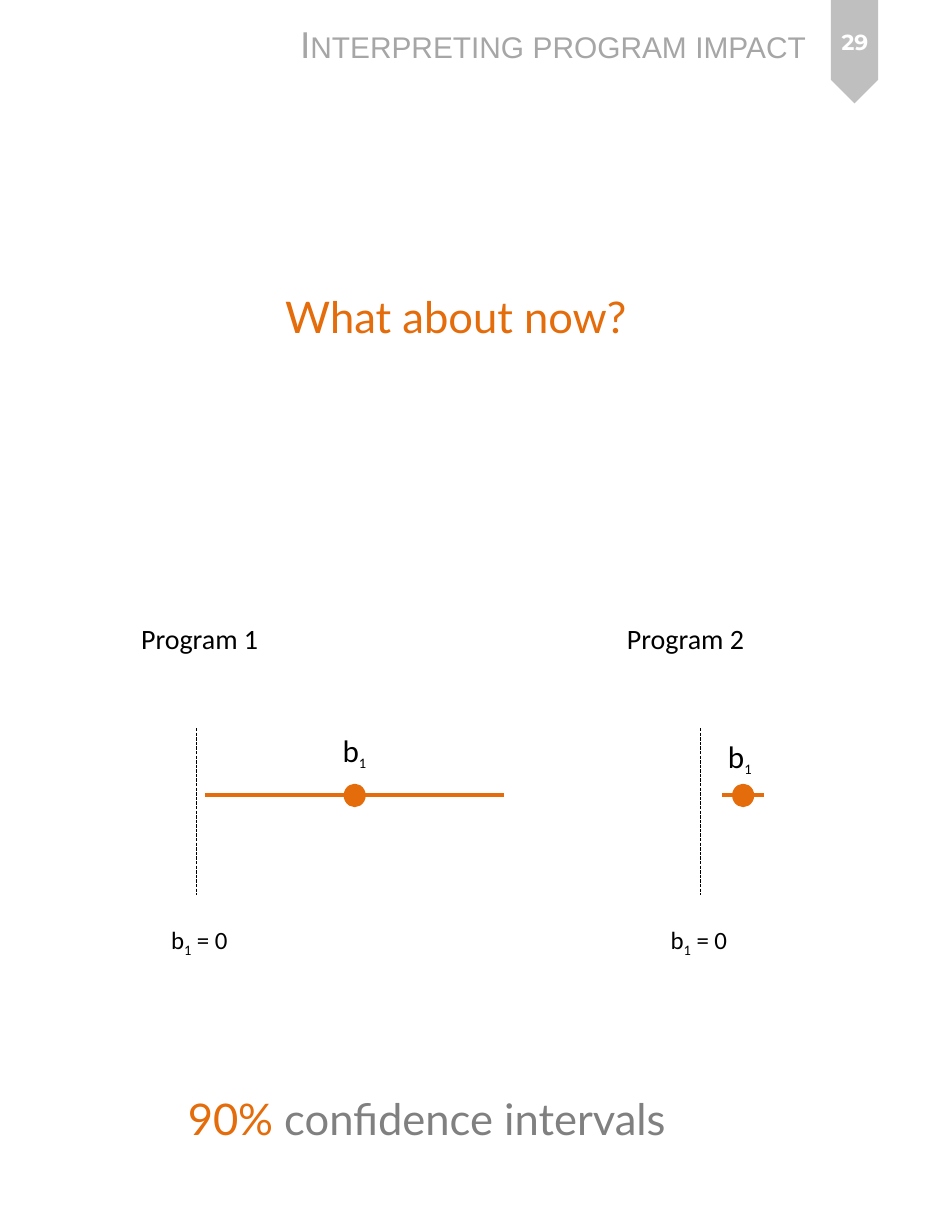
from lxml import etree
from pptx import Presentation
from pptx import util as u
from pptx.dml.color import RGBColor
from pptx.enum import dml, shapes, text
from pptx.oxml.ns import qn

COLORS = {
    "accent": "E46C0A",
    "ink": "000000",
    "header": "A6A6A6",
    "muted": "808080",
    "tab": "BFBFBF",
    "white": "FFFFFF",
}
STYLES = {
    "header": ("header", {"name": "Arial", "size": u.Pt(24)}),
    "number": ("white", {"name": "Montserrat", "size": u.Pt(14), "bold": True}),
    "accent": ("accent", {"name": "Lato", "size": u.Pt(28)}),
    "muted": ("muted", {"name": "Lato", "size": u.Pt(28)}),
    "caption": ("ink", {"name": "Calibri", "size": u.Pt(18)}),
    "estimate": ("ink", {"name": "Calibri", "size": u.Pt(20)}),
    "small": ("ink", {"name": "Calibri", "size": u.Pt(16)}),
}
SUBSCRIPT = {"baseline": "-25000"}


class ImpactSlide:
    """Holds the current slide and draws its elements in the shared style."""

    def __init__(self, presentation):
        self.slide = presentation.slides.add_slide(presentation.slide_layouts[5])

    def color(self, name):
        return RGBColor.from_string(COLORS[name])

    def fill_text(self, shape, runs, wrap=True, align=text.PP_ALIGN.LEFT,
                  anchor=text.MSO_ANCHOR.TOP,
                  fit=text.MSO_AUTO_SIZE.SHAPE_TO_FIT_TEXT):
        frame = shape.text_frame
        values = {"auto_size": fit, "word_wrap": wrap, "vertical_anchor": anchor}
        for key, value in values.items():
            setattr(frame, key, value)
        paragraph = frame.paragraphs[0]
        paragraph.alignment = align
        for words, style, *extra in runs:
            run = paragraph.add_run()
            run.text = words
            color, values = STYLES[style]
            for key, value in values.items():
                setattr(run.font, key, value)
            run.font.color.rgb = self.color(color)
            for attributes in extra:
                for key, value in attributes.items():
                    run._r.get_or_add_rPr().set(key, value)

    def title(self, words, box):
        shape = self.slide.shapes.title
        for key, value in zip(("left", "top", "width", "height"), box):
            setattr(shape, key, u.Cm(value))
        self.fill_text(shape, [(words, "header", {"cap": "small"})], wrap=False)

    def label(self, runs, box, **options):
        shape = self.slide.shapes.add_textbox(*map(u.Cm, box))
        self.fill_text(shape, runs, **options)

    def shape(self, kind, box, color, rotation=0, outline=None):
        shape = self.slide.shapes.add_shape(kind, *map(u.Cm, box))
        shape.shadow.inherit = False
        shape.rotation = rotation
        shape.fill.solid()
        shape.fill.fore_color.rgb = self.color(color)
        if outline:
            shape.line.color.rgb = self.color(color)
            shape.line.width = u.Pt(outline)
        else:
            shape.line.fill.background()

    def line(self, start, end, color, width, dash=None):
        connector = self.slide.shapes.add_connector(
            shapes.MSO_CONNECTOR.STRAIGHT, *map(u.Cm, (*start, *end)))
        connector.line.color.rgb = self.color(color)
        connector.line.width = u.Pt(width)
        if dash:
            connector.line.dash_style = dash
        etree.SubElement(connector._element.spPr, qn("a:effectLst"))

    def program(self, name, left, axis, null_left, interval, estimate):
        low, high = interval
        middle = (low + high) / 2
        self.label([(name, "caption")], (left, 13.97, 3.2, 1.02), wrap=False)
        self.line((axis, 16.51), (axis, 20.29), "ink", 0.75,
                  dml.MSO_LINE.SQUARE_DOT)
        self.label([("b", "small"), ("1", "small", SUBSCRIPT), (" = 0", "small")],
                   (null_left, 20.85, 1.83, 0.94), wrap=False)
        self.line((low, 18.03), (high, 18.03), "accent", 2)
        self.shape(shapes.MSO_SHAPE.OVAL, (middle - 0.21, 17.81, 0.43, 0.46),
                   "accent", outline=2)
        self.label([("b", "estimate"), ("1", "small", SUBSCRIPT)],
                   (*estimate, 1.07, 1.12), wrap=False)


def main():
    presentation = Presentation()
    presentation.slide_width = u.Cm(21.59)
    presentation.slide_height = u.Cm(27.94)
    page = ImpactSlide(presentation)
    page.shape(shapes.MSO_SHAPE.PENTAGON, (18.21, 0.64, 2.34, 1.07), "tab", rotation=90)
    page.title("Interpreting program impact", (6.55, 0.36, 12.6, 1.27))
    page.label([("29", "number")], (18.44, 0.2, 1.9, 1.5),
               align=text.PP_ALIGN.CENTER, anchor=text.MSO_ANCHOR.MIDDLE,
               fit=text.MSO_AUTO_SIZE.NONE)
    page.label([("What about now?", "accent")], (6.22, 6.45, 9.98, 1.45))
    page.program("Program 1", 2.95, 4.45, 3.63, (4.65, 11.43), (7.52, 16.46))
    page.program("Program 2", 13.97, 15.88, 14.96, (16.38, 17.32), (16.26, 16.59))
    page.label([("90% ", "accent"), ("confidence intervals", "muted")],
               (4.01, 24.64, 15.16, 1.45))
    presentation.save("out.pptx")


if __name__ == "__main__":
    main()
